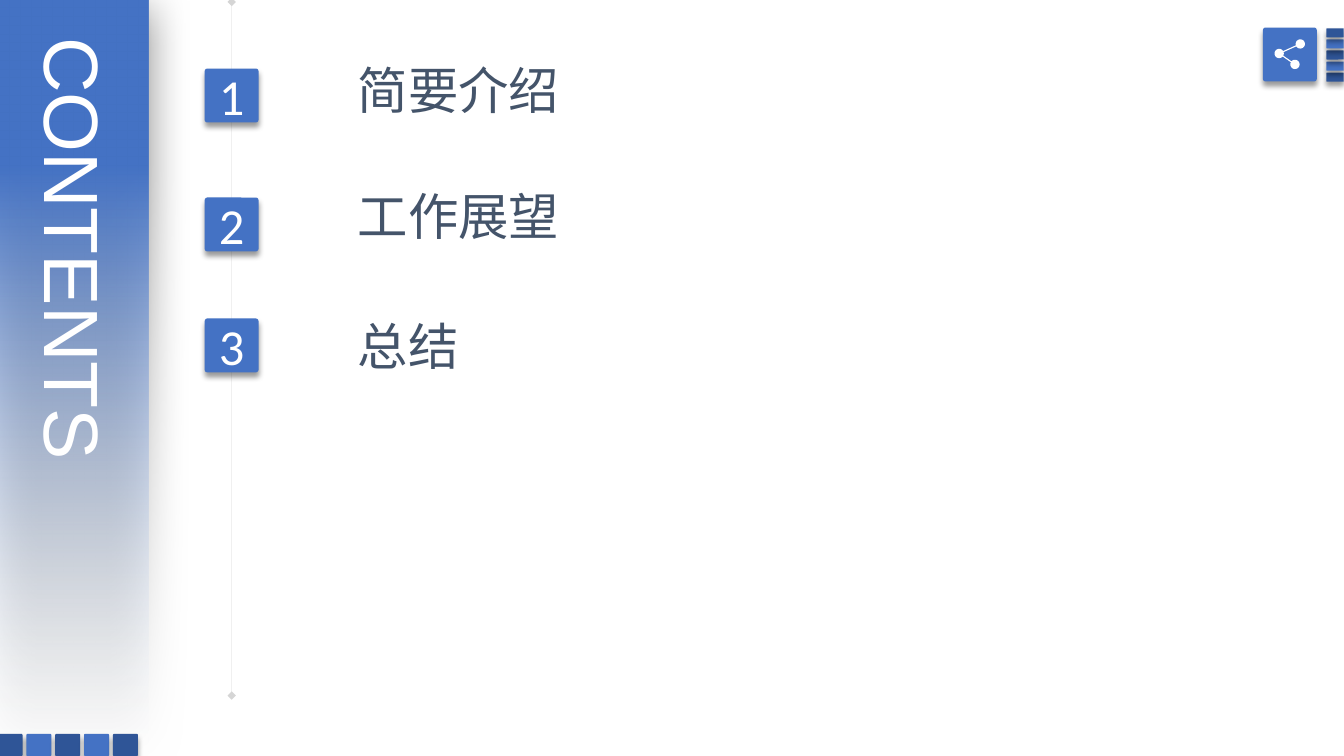
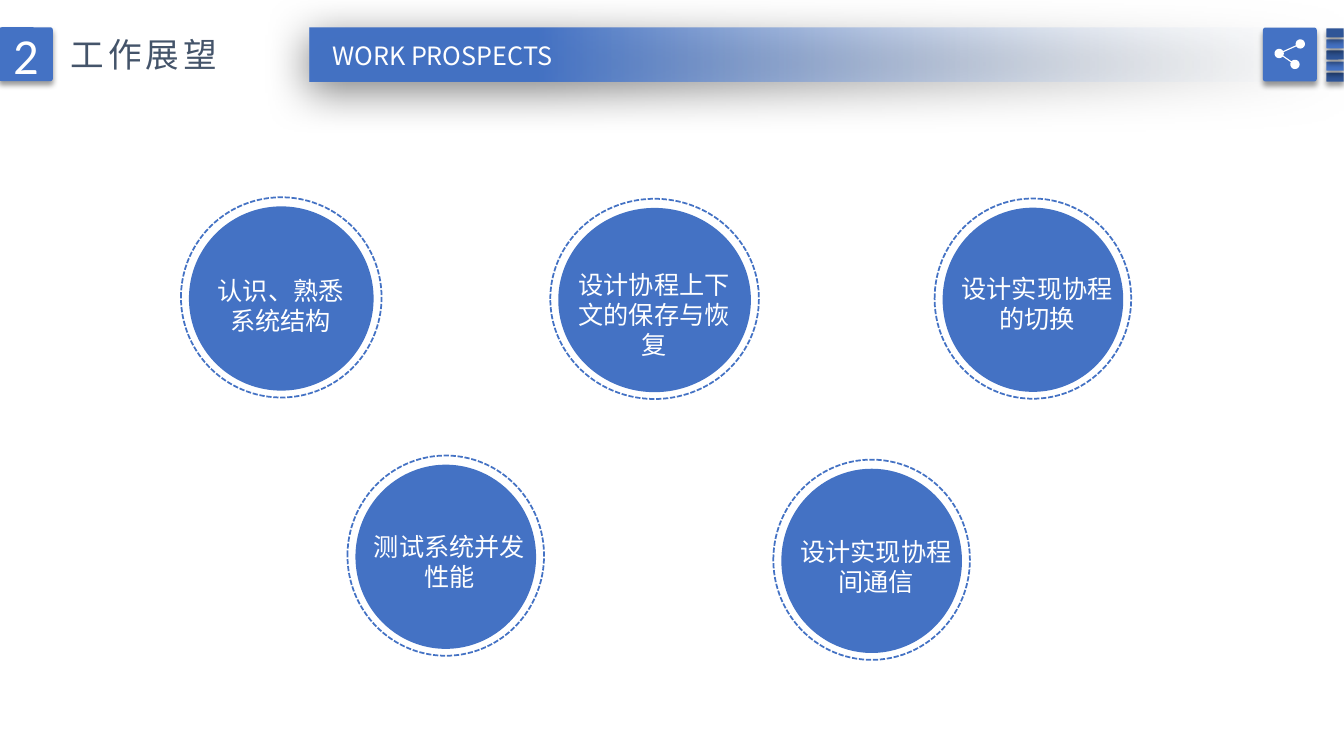
import math

from lxml import etree
from pptx import Presentation
from pptx.dml.color import RGBColor
from pptx.enum.dml import MSO_LINE
from pptx.enum.shapes import MSO_CONNECTOR, MSO_SHAPE
from pptx.enum.text import MSO_ANCHOR, MSO_AUTO_SIZE, PP_ALIGN
from pptx.oxml.ns import qn
from pptx.util import Pt

RECTANGLE, ROUNDED, OVAL = MSO_SHAPE.RECTANGLE, MSO_SHAPE.ROUNDED_RECTANGLE, MSO_SHAPE.OVAL
STRAIGHT = MSO_CONNECTOR.STRAIGHT
DASH = MSO_LINE.SQUARE_DOT
MIDDLE = MSO_ANCHOR.MIDDLE
GROW = MSO_AUTO_SIZE.SHAPE_TO_FIT_TEXT
LEFT, CENTER = PP_ALIGN.LEFT, PP_ALIGN.CENTER

BLUE = RGBColor(0x44, 0x72, 0xC4)
DARK_BLUE = RGBColor(0x2F, 0x55, 0x97)
SLATE = RGBColor(0x44, 0x54, 0x6A)
PALE = RGBColor(0xF7, 0xFA, 0xFD)
GRAY = RGBColor(0x80, 0x80, 0x80)
WHITE = RGBColor(0xFF, 0xFF, 0xFF)
CJK, LATIN, DIGITS = "Noto Sans CJK SC", "Arial", "Calibri"

TILE = 38.5
TILE_SHADOW = (40, 4, 3, 90)
BAND_SHADOW = (50, 31, 6, 97)

CONTENTS = [
    ("1", "简要介绍", 49, 38.9, 159.8),
    ("2", "工作展望", 141.1, 128.9, 159.8),
    ("3", "总结", 227.5, 221.8, 87.1),
]
PROSPECTS = [
    ("认识、熟悉系统结构", 200.9, 212.4, 143.3, (-0.4, -19.4, 120.2, 51)),
    ("设计实现协程间通信", 622.6, 399.8, 140.4, (3.1, -20.4, 129.6, 51)),
    ("设计协程上下文的保存与恢复", 467.6, 213.5, 149, (-0.4, -24.9, 125.3, 72.7)),
    ("设计实现协程的切换", 737.8, 213.3, 140.4, (3.1, -21.8, 129.6, 51)),
    ("测试系统并发性能", 318.4, 396.9, 140.4, (2.7, -21.1, 129.6, 51)),
]
RING_HEIGHT = 143
RING_GAP = 5.7

SHARE_HUB, SHARE_TOP, SHARE_BOTTOM = (913.7, 38.2), (928.8, 31.4), (925, 46)
SHARE_RADIUS = 3.3
LINK_HALF_ANGLE = 7


def add_child(parent, tag, **attributes):
    return etree.SubElement(parent, qn(tag), attributes)


def add_alpha(color_element, percent):
    add_child(color_element, "a:alpha", val=str(percent * 1000))


def add_shadow(shape, opacity, blur, distance, angle):
    effects = shape.element.spPr.find(qn("a:effectLst"))
    shadow = add_child(effects, "a:outerShdw", blurRad=str(Pt(blur)), dist=str(Pt(distance)),
                       dir=str(angle * 60000), algn="t", rotWithShape="0")
    add_alpha(add_child(shadow, "a:srgbClr", val="000000"), opacity)


def add_box(shapes, kind, left, top, width, height, color=None):
    box = shapes.add_shape(kind, Pt(left), Pt(top), Pt(width), Pt(height))
    box.line.fill.background()
    if color is None:
        box.fill.background()
    else:
        box.fill.solid()
        box.fill.fore_color.rgb = color
    box.shadow.inherit = False
    return box


def add_tile(shapes, left, top, width=TILE, height=TILE, color=BLUE):
    tile = add_box(shapes, ROUNDED, left, top, width, height, color)
    tile.adjustments[0] = 0.05
    add_shadow(tile, *TILE_SHADOW)
    return tile


def add_band(shapes, left, top, width, height, angle):
    band = add_box(shapes, RECTANGLE, left, top, width, height)
    band.fill.gradient()
    band.fill.gradient_angle = angle
    for stop, color, position in zip(band.fill.gradient_stops, (PALE, BLUE), (0, 0.78)):
        stop.color.rgb = color
        stop.position = position
    add_alpha(band.element.spPr.find(".//" + qn("a:srgbClr")), 0)
    add_shadow(band, *BAND_SHADOW)


def write(frame, text, size, font, color, align=LEFT, spacing=0):
    para = frame.paragraphs[0]
    para.text = text
    para.alignment = align
    para.font.size = Pt(size)
    para.font.name = font
    para.font.color.rgb = color
    defaults = para._p.pPr.find(qn("a:defRPr"))
    add_child(defaults, "a:ea", typeface=font)
    if spacing:
        defaults.set("spc", str(spacing * 100))


def add_text(shapes, place, text, size, font, color, wrap=True, **style):
    box = shapes.add_textbox(*map(Pt, place))
    box.text_frame.word_wrap = wrap
    box.text_frame.auto_size = GROW
    write(box.text_frame, text, size, font, color, **style)
    return box


def add_number(shapes, left, top, number):
    tile = add_tile(shapes, left, top)
    tile.text_frame.vertical_anchor = MIDDLE
    write(tile.text_frame, number, 36, DIGITS, WHITE, CENTER)


def stripe_color(index):
    return BLUE if index % 2 else DARK_BLUE


def bearing(origin, target):
    return math.degrees(math.atan2(target[1] - origin[1], target[0] - origin[0]))


def node_arc(center, start, end, steps=24):
    first, last = start + LINK_HALF_ANGLE, end - LINK_HALF_ANGLE
    angles = [math.radians(first + (last - first) * step / steps) for step in range(steps + 1)]
    return [(Pt(center[0] + SHARE_RADIUS * math.cos(angle)),
             Pt(center[1] + SHARE_RADIUS * math.sin(angle))) for angle in angles]


def add_share_icon(shapes):
    up, down = bearing(SHARE_HUB, SHARE_TOP), bearing(SHARE_HUB, SHARE_BOTTOM)
    outline = (node_arc(SHARE_HUB, down, up + 360)
               + node_arc(SHARE_TOP, up + 180, up + 540)
               + node_arc(SHARE_HUB, up, down)
               + node_arc(SHARE_BOTTOM, down + 180, down + 540))
    builder = shapes.build_freeform(*outline[0])
    builder.add_line_segments(outline[1:])
    icon = builder.convert_to_shape()
    icon.fill.solid()
    icon.fill.fore_color.rgb = WHITE
    icon.line.fill.background()
    icon.shadow.inherit = False


def add_corner(slide):
    shapes = slide.shapes.add_group_shape().shapes
    for index in reversed(range(5)):
        add_tile(shapes, 947.5, 20.2 + 7.92 * index, 12.3, 6.5, stripe_color(index))
    add_tile(shapes, 902.1, 19.7)
    add_share_icon(shapes)


def add_timeline(shapes):
    line = shapes.add_connector(STRAIGHT, Pt(165.5), Pt(1.4), Pt(165.5), Pt(496.8))
    line.line.width = Pt(0.25)
    line.line.color.rgb = GRAY
    outline = line.line._get_or_add_ln()
    add_alpha(outline.find(".//" + qn("a:srgbClr")), 33)
    for end in ("a:headEnd", "a:tailEnd"):
        add_child(outline, end, type="diamond")
    add_child(line.element.spPr, "a:effectLst")


def build_contents(slide):
    shapes = slide.shapes
    add_timeline(shapes)
    add_band(shapes, 0, 0, 105.8, 537, 90)
    squares = shapes.add_group_shape().shapes
    for index in range(5):
        add_tile(squares, -1.7 + 20.6 * index, 524.2, 17.8, 15.8, stripe_color(index))
    title = add_text(shapes, (8.6, 19.4, 81.4, 355.7), "CONTENTS", 55, LATIN, WHITE)
    title.text_frame._txBody.bodyPr.set("vert", "eaVert")
    add_corner(slide)
    for number, label, tile_top, label_top, width in CONTENTS:
        add_number(shapes, 146.2, tile_top, number)
        add_text(shapes, (248.4, label_top, width, 51), label, 36, CJK, SLATE, wrap=False)


def build_prospects(slide):
    shapes = slide.shapes
    add_band(shapes, 221, 19.9, 739, 38.4, 180)
    add_number(shapes, -0.7, 19.5, "2")
    add_text(shapes, (43.2, 20.9, 123.8, 36), "工作展望", 24, CJK, SLATE, wrap=False, spacing=3)
    add_text(shapes, (230.4, 25.2, 292.3, 29), "WORK PROSPECTS", 18, CJK, WHITE)
    add_corner(slide)
    for text, center_x, center_y, width, (shift_x, shift_y, text_width, text_height) in PROSPECTS:
        group = shapes.add_group_shape().shapes
        left, top = center_x - width / 2, center_y - RING_HEIGHT / 2
        add_box(group, OVAL, left + RING_GAP, top + RING_GAP + 0.8,
                width - 2 * RING_GAP, RING_HEIGHT - 2 * RING_GAP, BLUE)
        ring = add_box(group, OVAL, left, top, width, RING_HEIGHT)
        ring.line.color.rgb = BLUE
        ring.line.width = Pt(1.25)
        ring.line.dash_style = DASH
        place = (center_x + shift_x - text_width / 2, center_y + shift_y, text_width, text_height)
        add_text(group, place, text, 18, CJK, WHITE, align=CENTER)


def main():
    deck = Presentation()
    deck.slide_width, deck.slide_height = Pt(960), Pt(540)
    blank = deck.slide_layouts[6]
    for build in (build_contents, build_prospects):
        build(deck.slides.add_slide(blank))
    deck.save("out.pptx")


if __name__ == "__main__":
    main()
